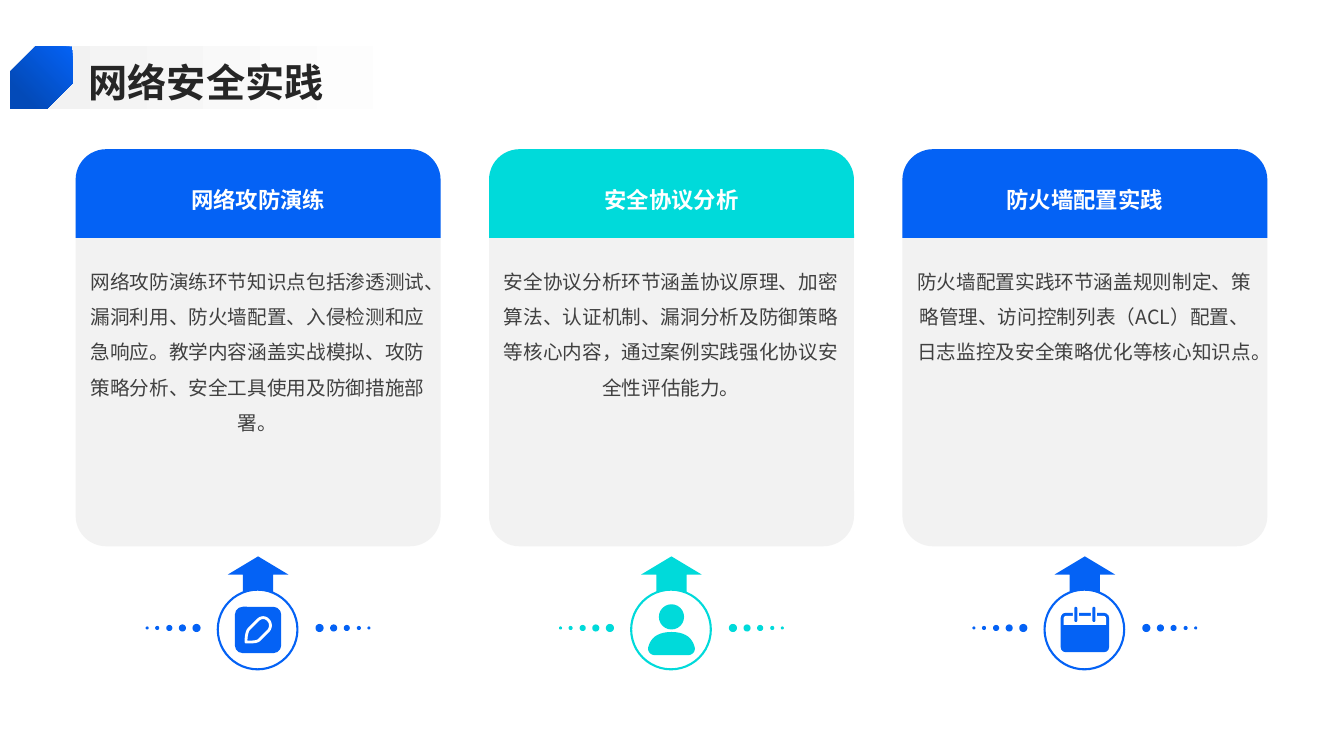
from math import cos, pi, sin

from lxml.etree import SubElement
from pptx import Presentation
from pptx.dml.color import RGBColor
from pptx.enum.shapes import MSO_SHAPE
from pptx.enum.text import MSO_ANCHOR, PP_ALIGN
from pptx.oxml.ns import qn
from pptx.util import Pt

PX = 9144  # one hundredth of an inch
FONT = "Noto Sans CJK SC"
BLUE, TEAL, WHITE, GREY = "0462F5", "00DADA", "FFFFFF", "F2F2F2"
DOTS = [(61, 8), (75, 7), (88, 6), (100, 4), (110, 3)]  # distance, diameter
CARDS = [
    (BLUE, "网络攻防演练",
     "网络攻防演练环节知识点包括渗透测试、漏洞利用、防火墙配置、入侵检测和应急响应。"
     "教学内容涵盖实战模拟、攻防策略分析、安全工具使用及防御措施部署。"),
    (TEAL, "安全协议分析",
     "安全协议分析环节涵盖协议原理、加密算法、认证机制、漏洞分析及防御策略等核心内容，"
     "通过案例实践强化协议安全性评估能力。"),
    (BLUE, "防火墙配置实践",
     "防火墙配置实践环节涵盖规则制定、策略管理、访问控制列表（ACL）配置、"
     "日志监控及安全策略优化等核心知识点。"),
]


def px(*nums):
    return [round(n * PX) for n in nums]


def rgb(code):
    return RGBColor.from_string(code)


def paint(shape, fill=None, line=None, width=1.5):
    shape.shadow.inherit = False
    if fill:
        shape.fill.solid()
        shape.fill.fore_color.rgb = rgb(fill)
    else:
        shape.fill.background()
    if line:
        shape.line.color.rgb = rgb(line)
        shape.line.width = Pt(width)
    else:
        shape.line.fill.background()
    return shape


def fade(shape, first, last, angle):
    shape.fill.gradient()
    shape.fill.gradient_angle = angle
    for stop, code, pos in zip(shape.fill.gradient_stops, (first, last), (0, 0.8)):
        stop.color.rgb = rgb(code)
        stop.position = pos


def add(slide, kind, box, fill=None, line=None, adj=()):
    shape = slide.shapes.add_shape(kind, *px(*box))
    for i, value in enumerate(adj):
        shape.adjustments[i] = value
    return paint(shape, fill, line)


def trace(slide, x, y, loops, fill=None, line=None, width=1.5):
    """Draw closed outlines as one shape, with points relative to x, y."""
    spots = [[px(x + dx, y + dy) for dx, dy in loop] for loop in loops]
    form = slide.shapes.build_freeform(*spots[0][0])
    for i, loop in enumerate(spots):
        if i:
            form.move_to(*loop[0])
        form.add_line_segments(loop[1:], close=True)
    return paint(form.convert_to_shape(), fill, line, width)


def curve(a, b, c, d, steps=10):
    """Points along a cubic Bezier curve."""
    out = []
    for i in range(steps + 1):
        t = i / steps
        parts = ((1 - t) ** 3, 3 * t * (1 - t) ** 2, 3 * t * t * (1 - t), t ** 3)
        out.append(tuple(sum(k * p[n] for k, p in zip(parts, (a, b, c, d)))
                         for n in (0, 1)))
    return out


def ring(x, y, size, steps=24):
    """Points around a circle."""
    turns = [2 * pi * i / steps for i in range(steps)]
    return [(x + size / 2 * cos(t), y + size / 2 * sin(t)) for t in turns]


def write(slide, box, text, size, color, bold=False, space=1.5,
          align=PP_ALIGN.CENTER, anchor=MSO_ANCHOR.MIDDLE, pad=5):
    frame = slide.shapes.add_textbox(*px(*box)).text_frame
    frame.word_wrap = True
    frame.vertical_anchor = anchor
    frame.margin_left = frame.margin_right = 0
    frame.margin_top = frame.margin_bottom = px(pad)[0]
    frame.text = text
    para = frame.paragraphs[0]
    para.alignment, para.line_spacing = align, space
    font = para.runs[0].font
    font.size, font.bold, font.name = Pt(size), bold, FONT
    font.color.rgb = rgb(color)
    SubElement(font._element, qn("a:ea")).set("typeface", FONT)


def heading(slide, x, y, text):
    band = add(slide, MSO_SHAPE.RECTANGLE, (x + 23, y, 492, 62), GREY)
    fade(band, GREY, WHITE, 0)
    write(slide, (x + 78, y + 7, 1188, 51), text, 28, "262626", True, 1.1,
          PP_ALIGN.LEFT, pad=0)
    mark = add(slide, MSO_SHAPE.SNIP_2_DIAG_RECTANGLE, (x, y, 62, 62), BLUE,
               adj=(0, 0.408))
    fade(mark, BLUE, "034AB8", 315)
    mark._element.spPr.find(qn("a:xfrm")).set("flipH", "1")


def card(slide, x, y, w, h, color, title, body):
    add(slide, MSO_SHAPE.ROUNDED_RECTANGLE, (x, y, w, h), GREY, adj=(0.084,))
    add(slide, MSO_SHAPE.ROUND_2_SAME_RECTANGLE, (x, y, w, 88), color,
        adj=(0.345, 0))
    write(slide, (x + 14, y + 11, w - 28, 69), title, 16, WHITE, True, 1.3)
    write(slide, (x + 14, y + 103, w - 29, 217), body, 14, "404040",
          anchor=MSO_ANCHOR.TOP)


def pen(slide, x, y, color):
    add(slide, MSO_SHAPE.ROUNDED_RECTANGLE, (x - 23, y - 23, 46, 46), color,
        adj=(0.17,))
    nib = [(-12, 12), *curve((-12, 12), (-12, 6), (-11, 1), (-9, -1)),
           *curve((0, -10), (3, -13), (7, -13), (10, -10)),
           *curve((10, -10), (13, -7), (13, -2), (10, 1)),
           *curve((1, 10), (-1, 12), (-6, 12), (-12, 12))]
    trace(slide, x, y, [nib], line=WHITE, width=2)


def person(slide, x, y, color):
    half = (curve((0, 2), (15, 2), (21, 9), (23, 17))
            + curve((23, 17), (24, 21), (21, 25), (16, 25)))
    bust = half + [(-dx, dy) for dx, dy in reversed(half)]
    trace(slide, x, y, [bust, ring(0, -13, 25)], color)


def diary(slide, x, y, color):
    add(slide, MSO_SHAPE.ROUNDED_RECTANGLE, (x - 24, y - 17, 48, 39), color,
        adj=(0.13,))
    add(slide, MSO_SHAPE.ROUND_2_SAME_RECTANGLE, (x - 21, y - 14, 42, 9), WHITE,
        adj=(0.25, 0))
    for pin in (x - 9, x + 9):
        add(slide, MSO_SHAPE.RECTANGLE, (pin - 3, y - 18, 6, 6), WHITE)
        add(slide, MSO_SHAPE.ROUNDED_RECTANGLE, (pin - 1.5, y - 23, 3, 15), color,
            adj=(0.5,))


def badge(slide, x, y, color, icon):
    """Ringed icon centred on x, y, with dots beside it and an arrow above."""
    add(slide, MSO_SHAPE.OVAL, (x - 40, y - 40, 79, 79), line=color)
    icon(slide, x, y, color)
    for side in (-1, 1):
        trace(slide, x, y - 2, [ring(side * gap, 0, size) for gap, size in DOTS],
              color)
    base = curve((15, -37), (5, -41), (-5, -41), (-15, -37))
    trace(slide, x, y, [[(0, -73), (30, -55), (15, -55), *base, (-15, -55),
                         (-30, -55)]], color)


def main():
    deck = Presentation()
    deck.slide_width, deck.slide_height = px(1333, 750)
    slide = deck.slides.add_slide(deck.slide_layouts[6])
    for i, (content, icon) in enumerate(zip(CARDS, (pen, person, diary))):
        x = 75 + 410 * i
        card(slide, x, 148, 362, 394, *content)
        badge(slide, x + 181, 625, content[0], icon)
    heading(slide, 10, 46, "网络安全实践")
    deck.save("out.pptx")


if __name__ == "__main__":
    main()
